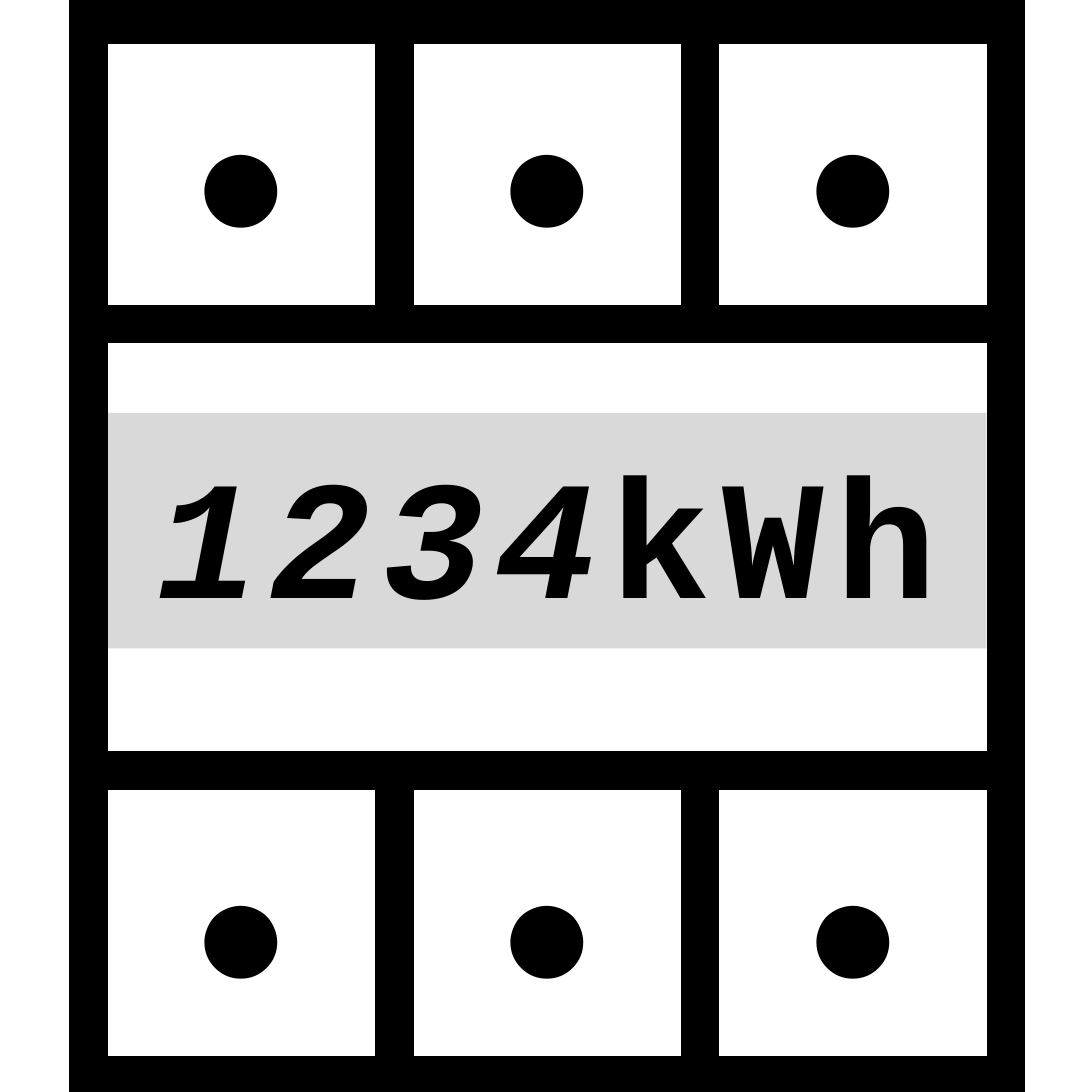
from lxml.etree import SubElement
from pptx import Presentation
from pptx.dml.color import RGBColor
from pptx.enum.shapes import MSO_SHAPE
from pptx.enum.text import MSO_ANCHOR, PP_ALIGN
from pptx.oxml.ns import qn
from pptx.util import Inches, Pt

BLACK = RGBColor(0x00, 0x00, 0x00)
GREY = RGBColor(0xD9, 0xD9, 0xD9)
FONT = {"name": "Courier New", "size": Pt(44), "bold": True}
BAND = {"margin_top": 0, "margin_bottom": Inches(0.06), "word_wrap": True,
        "vertical_anchor": MSO_ANCHOR.BOTTOM}
CELL = {"margin_top": Inches(0.05), "margin_bottom": Inches(0.05),
        "word_wrap": True, "vertical_anchor": MSO_ANCHOR.MIDDLE}


def apply(item, style):
    for key, value in style.items():
        setattr(item, key, value)


def add_box(slide, box, fill=None):
    """Add a filled box without a line, or an open box with a thick line."""
    shape = slide.shapes.add_shape(MSO_SHAPE.RECTANGLE, *map(Inches, box))
    shape.shadow.inherit = False
    if fill is None:
        shape.fill.background()
        shape.line.color.rgb = BLACK
        shape.line.width = Pt(10)
        # Sharp corners
        edge = shape._element.spPr.find(qn("a:ln"))
        SubElement(edge, qn("a:miter")).set("lim", "800000")
    else:
        shape.fill.solid()
        shape.fill.fore_color.rgb = fill
        shape.line.fill.background()
    return shape


def add_text(shape, parts, style):
    """Write centred runs, given as pairs of text and extra font values."""
    apply(shape.text_frame, style)
    para = shape.text_frame.paragraphs[0]
    para.alignment = PP_ALIGN.CENTER
    runs = []
    for text, extra in parts:
        run = para.add_run()
        run.text = text
        apply(run.font, {**FONT, **extra})
        run.font.color.rgb = BLACK
        runs.append(run)
    return runs


def add_reading(slide, box):
    """Grey band with the count and its unit."""
    band = add_box(slide, box, GREY)
    parts = [("1234", {"italic": True}), ("kWh", {"italic": False})]
    for run in add_text(band, parts, BAND):
        run.font._element.set("spc", "300")


def add_row(slide, box, count=3):
    """Row of equal cells, each with a dot."""
    left, top, width, height = box
    step = width / count
    for col in range(count):
        cell = add_box(slide, (left + col * step, top, step, height))
        add_text(cell, [("●", {})], CELL)


def add_meter(slide, box):
    """Whole meter: reading, two rows of cells and the outer frame."""
    left, top, width, height = box
    add_reading(slide, (left + 0.07, top + 1.4, width - 0.14, 0.85))
    for shift in (2.69, -0.02):
        add_row(slide, (left, top + shift, width, 1.1))
    add_box(slide, box)


def main():
    deck = Presentation()
    deck.slide_width = deck.slide_height = Inches(3.94)
    slide = deck.slides.add_slide(deck.slide_layouts[6])
    add_meter(slide, (0.32, 0.09, 3.31, 3.79))
    deck.save("out.pptx")


if __name__ == "__main__":
    main()
